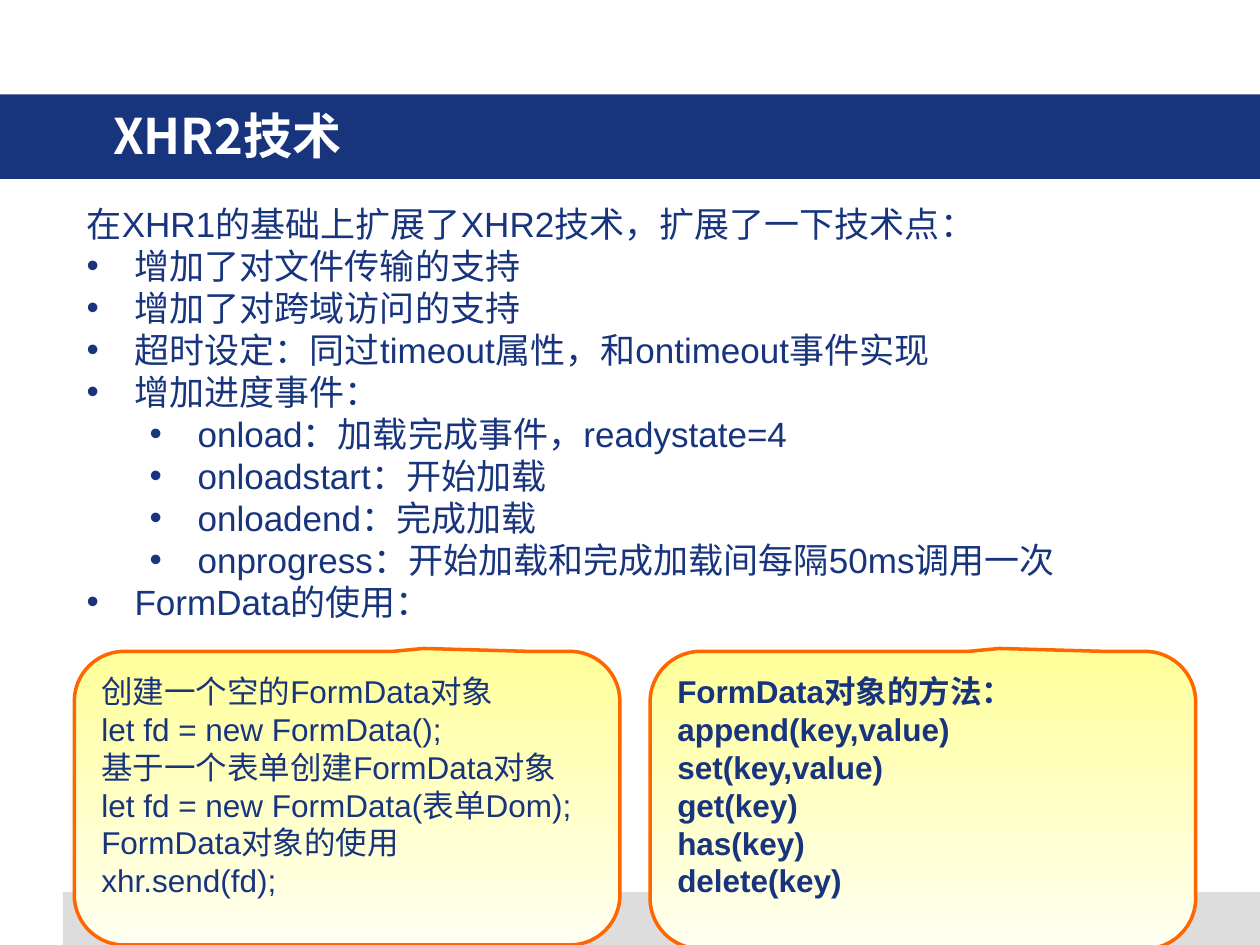
from dataclasses import dataclass

from lxml.etree import SubElement
from pptx import Presentation
from pptx.dml.color import RGBColor
from pptx.enum.shapes import MSO_SHAPE as Shape
from pptx.enum.text import MSO_ANCHOR as Anchor, PP_ALIGN as Align
from pptx.oxml.ns import qn
from pptx.util import Inches, Pt

NAVY = RGBColor(0x17, 0x34, 0x7D)
WHITE = RGBColor(0xFF, 0xFF, 0xFF)
GRAY = RGBColor(0xDD, 0xDD, 0xDD)
ORANGE = RGBColor(0xFF, 0x66, 0x00)
YELLOW = RGBColor(0xFF, 0xFF, 0x99)
CREAM = RGBColor(0xFF, 0xFF, 0xF2)
BODY_FONT = "Arial"
TITLE_FONT = "Noto Sans CJK SC"
LINE_RATIO = 1.2


@dataclass(frozen=True)
class Line:
    text: str
    level: int = 0
    bullet: bool = True


@dataclass(frozen=True)
class Callout:
    left: float
    height: float
    lines: tuple[str, ...]
    bold: bool = False


BODY = (
    Line("在XHR1的基础上扩展了XHR2技术，扩展了一下技术点：", bullet=False),
    Line("增加了对文件传输的支持"),
    Line("增加了对跨域访问的支持"),
    Line("超时设定：同过timeout属性，和ontimeout事件实现"),
    Line("增加进度事件："),
    Line("onload：加载完成事件，readystate=4", level=1),
    Line("onloadstart：开始加载", level=1),
    Line("onloadend：完成加载", level=1),
    Line("onprogress：开始加载和完成加载间每隔50ms调用一次", level=1),
    Line("FormData的使用："),
)
CALLOUTS = (
    Callout(0.59, 2.33, (
        "创建一个空的FormData对象",
        "let fd = new FormData();",
        "基于一个表单创建FormData对象",
        "let fd = new FormData(表单Dom);",
        "FormData对象的使用",
        "xhr.send(fd);",
    )),
    Callout(5.16, 2.36, (
        "FormData对象的方法：",
        "append(key,value)",
        "set(key,value)",
        "get(key)",
        "has(key)",
        "delete(key)",
    ), bold=True),
)


def write_text(frame, lines: tuple[Line, ...], *, size: float, color: RGBColor = NAVY,
               font: str = BODY_FONT, bold: bool = False, hanging: float = 0,
               anchor: Anchor = Anchor.TOP) -> None:
    frame.word_wrap = True
    frame.vertical_anchor = anchor
    for index, line in enumerate(lines):
        para = frame.add_paragraph() if index else frame.paragraphs[0]
        para.alignment = Align.LEFT
        para.level = line.level
        para.line_spacing = Pt(size * LINE_RATIO)
        props = para._p.get_or_add_pPr()
        props.set("marL", str(Inches(hanging + line.level * 0.5)))
        props.set("indent", str(Inches(-hanging)))
        if line.bullet:
            SubElement(props, qn("a:buFont"), typeface=BODY_FONT)
            SubElement(props, qn("a:buChar"), char="•")
        else:
            SubElement(props, qn("a:buNone"))
        span = para.add_run()
        span.text = line.text
        span.font.size = Pt(size)
        span.font.bold = bold
        span.font.color.rgb = color
        span.font.name = font
        SubElement(span._r.get_or_add_rPr(), qn("a:ea"), typeface=font)


def add_band(page, left: float, top: float, width: float, height: float,
             color: RGBColor) -> None:
    band = page.shapes.add_shape(Shape.RECTANGLE, Inches(left), Inches(top),
                                 Inches(width), Inches(height))
    band.shadow.inherit = False
    band.fill.solid()
    band.fill.fore_color.rgb = color
    band.line.fill.background()


def add_callout(page, callout: Callout) -> None:
    box = page.shapes.add_shape(Shape.ROUNDED_RECTANGULAR_CALLOUT,
                                Inches(callout.left), Inches(5.17),
                                Inches(4.33), Inches(callout.height))
    box.shadow.inherit = False
    for index, value in enumerate((0.14, -0.51, 0.17)):
        box.adjustments[index] = value
    box.fill.gradient()
    box.fill.gradient_angle = 270
    for stop, color in zip(box.fill.gradient_stops, (YELLOW, CREAM)):
        stop.color.rgb = color
    box.line.color.rgb = ORANGE
    box.line.width = Pt(2)
    lines = tuple(Line(text, bullet=False) for text in callout.lines)
    write_text(box.text_frame, lines, size=18, bold=callout.bold, hanging=0.31)


def main() -> None:
    deck = Presentation()
    deck.slide_width, deck.slide_height = Inches(10), Inches(7.5)
    page = deck.slides.add_slide(deck.slide_layouts[6])

    add_band(page, 0.5, 7.08, 9.5, 0.42, GRAY)
    add_band(page, 0, 0.75, 10, 0.67, NAVY)

    title = page.shapes.add_textbox(Inches(0.8), Inches(0.58), Inches(9), Inches(0.98))
    write_text(title.text_frame, (Line("XHR2技术", bullet=False),), size=28,
               color=WHITE, font=TITLE_FONT, bold=True, anchor=Anchor.MIDDLE)
    body = page.shapes.add_textbox(Inches(0.59), Inches(1.56), Inches(8.9), Inches(3.99))
    write_text(body.text_frame, BODY, size=20, hanging=0.38)

    for callout in CALLOUTS:
        add_callout(page, callout)
    deck.save("out.pptx")


if __name__ == "__main__":
    main()
